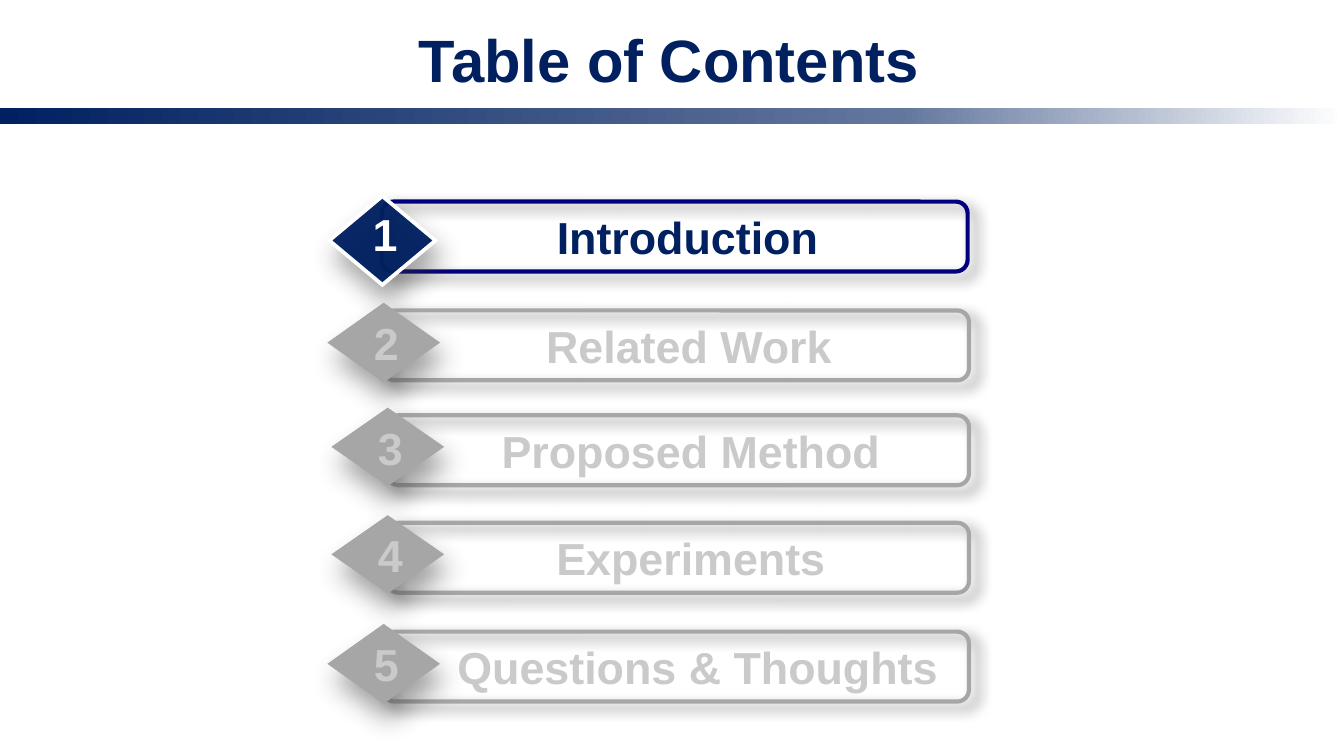
from copy import deepcopy

from lxml import etree
from pptx import Presentation
from pptx.dml.color import RGBColor
from pptx.enum import shapes, text
from pptx.oxml import ns
from pptx.util import Inches, Pt

NAVY, WHITE, GREY, PALE = "002060", "FFFFFF", "A6A6A6", "CACACA"
ACTIVE = {"outline": "00007F", "fill": NAVY, "edge": WHITE,
          "label": NAVY, "number": WHITE, "opacity": 96}
MUTED = {"outline": GREY, "fill": GREY, "edge": GREY,
         "label": PALE, "number": PALE, "opacity": 100}

# label, bar left, bar top, bar width, diamond height, label offset, label width, colours
ENTRIES = [
    ("Introduction", 2.84, 1.5, 4.36, 0.66, 0.44, 3.67, ACTIVE),
    ("Related Work", 2.85, 2.31, 4.36, 0.56, 0.44, 3.67, MUTED),
    ("Proposed Method", 2.88, 3.09, 4.33, 0.55, 0.44, 3.64, MUTED),
    ("Experiments", 2.88, 3.89, 4.33, 0.55, 0.44, 3.64, MUTED),
    ("Questions & Thoughts", 2.85, 4.7, 4.36, 0.56, 0.4, 3.88, MUTED),
]


def color(value):
    return RGBColor.from_string(value)


def child(parent, tag, **attributes):
    values = {name: str(value) for name, value in attributes.items()}
    return etree.SubElement(parent, ns.qn(tag), values)


def add_shape(container, kind, left, top, width, height, fill=None, line=None,
              line_width=2.0, opacity=100):
    shape = container.add_shape(kind, Inches(left), Inches(top), Inches(width), Inches(height))
    shape.shadow.inherit = False
    if fill:
        shape.fill.solid()
        shape.fill.fore_color.rgb = color(fill)
        if opacity < 100:
            fill_color = shape._element.spPr.find(".//" + ns.qn("a:srgbClr"))
            child(fill_color, "a:alpha", val=opacity * 1000)
    else:
        shape.fill.background()
    if line:
        shape.line.color.rgb = color(line)
        shape.line.width = Pt(line_width)
        # Sharp corners
        child(shape._element.spPr.find(ns.qn("a:ln")), "a:miter", lim=800000)
    else:
        shape.line.fill.background()
    return shape


def add_shadow(shape, value, opacity, blur, distance, angle):
    effects = shape._element.spPr.find(ns.qn("a:effectLst"))
    shadow = child(effects, "a:outerShdw", blurRad=Pt(blur), dist=Pt(distance),
                   dir=angle * 60000, algn="ctr", rotWithShape=0)
    shade = child(shadow, "a:srgbClr", val=value)
    child(shade, "a:alpha", val=opacity * 1000)


def add_text(container, content, left, top, width, height, size=24, fill=NAVY,
             anchor=text.MSO_ANCHOR.TOP, fit=text.MSO_AUTO_SIZE.SHAPE_TO_FIT_TEXT):
    box = container.add_textbox(Inches(left), Inches(top), Inches(width), Inches(height))
    frame = box.text_frame
    frame.word_wrap = True
    frame.auto_size = fit
    frame.vertical_anchor = anchor
    paragraph = frame.paragraphs[0]
    paragraph.alignment = text.PP_ALIGN.CENTER
    run = paragraph.add_run()
    run.text = content
    run.font.name = "Arial"
    run.font.size = Pt(size)
    run.font.bold = True
    run.font.color.rgb = color(fill)


def add_gradient_band(container):
    band = add_shape(container, shapes.MSO_SHAPE.RECTANGLE, 0, 0.8, 10, 0.12)
    band.fill.gradient()
    band.fill.gradient_angle = 0
    # The default gradient has two stops; add a third
    stop_list = band._element.spPr.find(".//" + ns.qn("a:gsLst"))
    stop_list.append(deepcopy(stop_list[-1]))
    stops = [(0, NAVY), (0.67, "63779E"), (1, WHITE)]
    for stop, (position, value) in zip(band.fill.gradient_stops, stops):
        stop.position = position
        stop.color.rgb = color(value)


def add_entry(slide, number, label, left, top, width, diamond_height,
              label_offset, label_width, colors):
    group = slide.shapes.add_group_shape().shapes
    bar = add_shape(group, shapes.MSO_SHAPE.ROUNDED_RECTANGLE, left, top, width, 0.52,
                    line=colors["outline"], line_width=2.25)
    bar.adjustments[0] = 0.167
    add_shadow(bar, "808080", 100, 7, 5, 40)
    diamond = add_shape(group, shapes.MSO_SHAPE.DIAMOND, left - 0.39, top - 0.04,
                        0.79, diamond_height, fill=colors["fill"],
                        line=colors["edge"], opacity=colors["opacity"])
    add_shadow(diamond, "333333", 45, 14, 9, 72)
    add_text(group, label, left + label_offset, top + 0.01, label_width, 0.5,
             fill=colors["label"])
    add_text(group, str(number), left - 0.17, top - 0.01, 0.39, 0.5,
             fill=colors["number"])


def main():
    presentation = Presentation()
    presentation.slide_width = Inches(10)
    presentation.slide_height = Inches(10 * 9 / 16)
    slide = presentation.slides.add_slide(presentation.slide_layouts[6])

    # Heading
    add_gradient_band(slide.shapes)
    add_text(slide.shapes, "Table of Contents", 0.08, 0.12, 9.8, 0.63, size=32,
             anchor=text.MSO_ANCHOR.BOTTOM, fit=text.MSO_AUTO_SIZE.NONE)

    # Numbered entries
    for number, entry in enumerate(ENTRIES, start=1):
        add_entry(slide, number, *entry)

    presentation.save("out.pptx")


if __name__ == "__main__":
    main()
